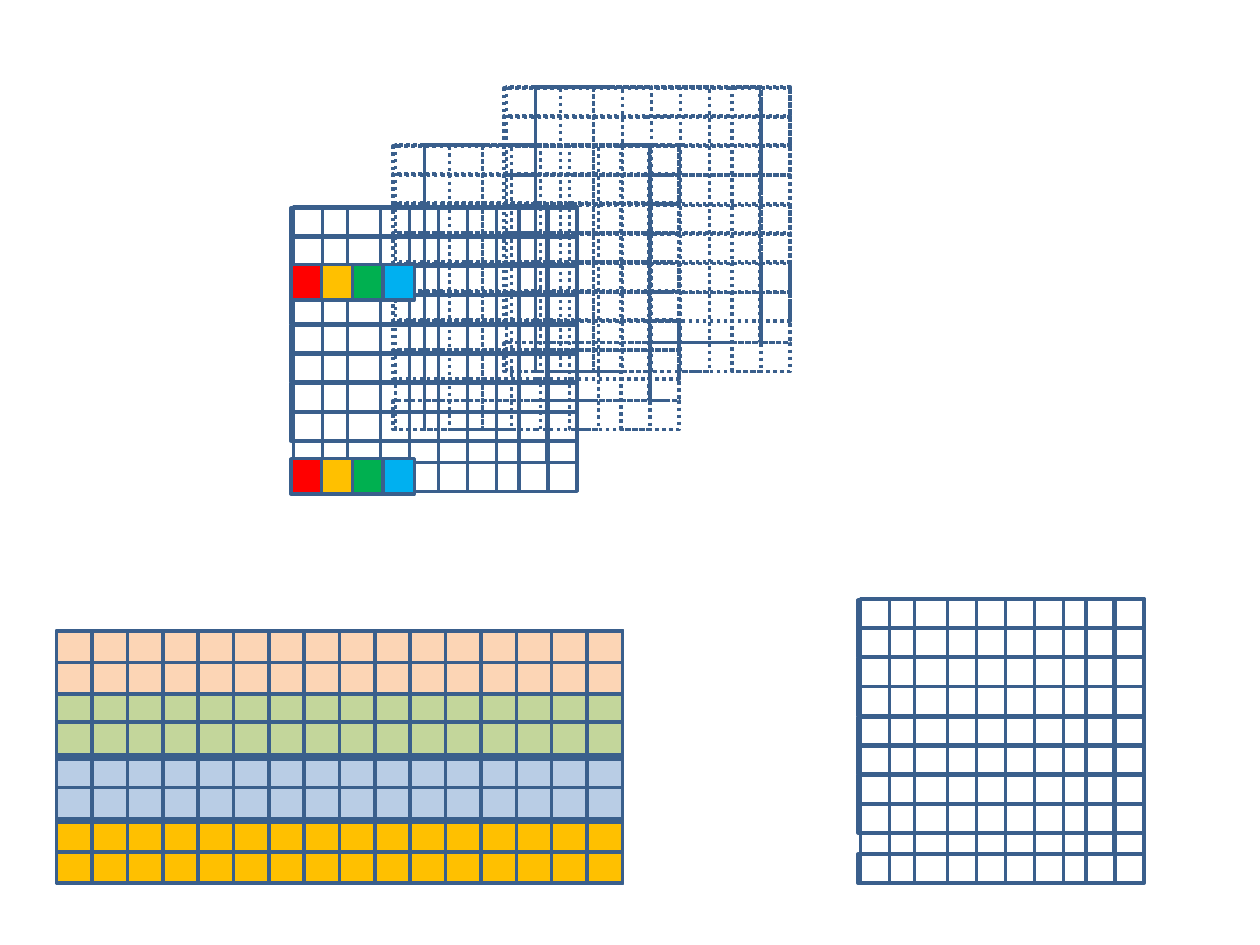
"""Build a slide of stacked pixel grids, a banded matrix and a result grid."""
from pptx import Presentation
from pptx.dml.color import RGBColor
from pptx.enum.dml import MSO_LINE
from pptx.enum.shapes import MSO_SHAPE as Shape
from pptx.util import Inches, Pt

COLORS = {
    "line": "3A5F8C", "red": "FF0000", "amber": "FFC000", "green": "00B050",
    "sky": "00B0F0", "blue": "B9CDE5", "olive": "C3D69B", "peach": "FCD5B5",
}


def add_box(parent, left, top, width, height, fill=None, dash=None):
    box = parent.add_shape(Shape.RECTANGLE, Inches(left), Inches(top), Inches(width), Inches(height))
    box.shadow.inherit = False
    if fill:
        box.fill.solid()
        box.fill.fore_color.rgb = RGBColor.from_string(COLORS[fill])
    else:
        box.fill.background()
    box.line.color.rgb = RGBColor.from_string(COLORS["line"])
    box.line.width = Pt(2)
    if dash:
        box.line.dash_style = dash


def add_pixel_grid(left, top, dash=None):
    grid = slide.shapes.add_group_shape().shapes
    for offset, width, height in GRID_COLUMNS:
        add_box(grid, left + offset, top, width, height, dash=dash)
    for offset in GRID_ROWS:
        add_box(grid, left, top + offset, 2.27, 0.23, dash=dash)


GRID_COLUMNS = [
    (0.25, 1.78, 2.03), (0.25, 0.92, 2.26), (0.25, 0.46, 2.26), (1.17, 0.46, 2.03),
    (0.25, 0.2, 2.26), (0.71, 0.23, 2.26), (1.4, 0.23, 2.26), (1.81, 0.23, 2.26),
    (0.02, 0.23, 2.26), (2.04, 0.23, 2.03),
]
GRID_ROWS = [0.01, 0.23, 0.47, 0.7, 0.94, 1.16, 1.4, 1.63, 2.03]

prs = Presentation()
prs.slide_width, prs.slide_height = Inches(10), Inches(7.5)
slide = prs.slides.add_slide(prs.slide_layouts[6])

add_pixel_grid(3.12, 1.15, MSO_LINE.ROUND_DOT)
add_pixel_grid(4, 0.69, MSO_LINE.ROUND_DOT)

matrix_left, matrix_top, matrix_width, matrix_height = 0.45, 5.01, 4.49, 2
matrix = slide.shapes.add_group_shape().shapes
for offset, color in [(1.5, "amber"), (1.02, "blue"), (0.48, "olive"), (0, "peach")]:
    add_box(matrix, matrix_left, matrix_top + offset, matrix_width, 0.5, color)

column_width = matrix_width / 16
wide_columns = [(0, 16), (0, 8), (0, 4), (0, 2), (4, 2)]
single_columns = [(column, 1) for column in [0, 2, 4, 6, *range(8, 15)] if column != 8]
for column, span in wide_columns + [(8, 1)] + single_columns:
    add_box(matrix, matrix_left + column * column_width, matrix_top, span * column_width, matrix_height)

matrix_rows = [(0, 1), (0, 0.5), (1.5, 0.5), (0, 0.25), (1.75, 0.25), (0.72, 0.28), (1.24, 0.25)]
for offset, height in matrix_rows:
    add_box(matrix, matrix_left, matrix_top + offset, matrix_width, height)

add_pixel_grid(6.81, 4.75)
add_pixel_grid(2.31, 1.64)

for top in (3.64, 2.1):
    for index, color in enumerate(["red", "amber", "green", "sky"]):
        add_box(slide.shapes, 2.31 + index * 0.243, top, 0.25, 0.28, color)

prs.save("out.pptx")
